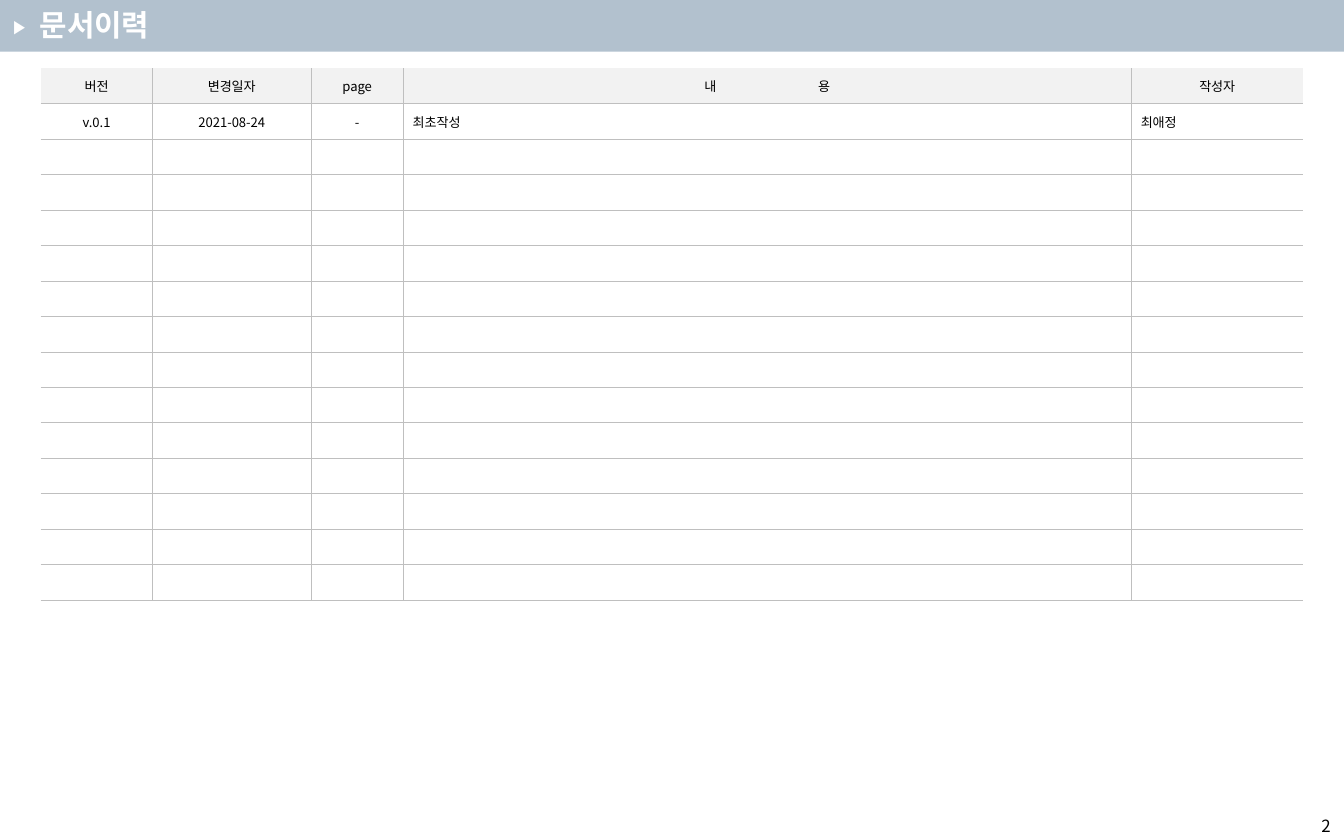
import pptx
import pptx.util
import pptx.dml.color
import pptx.enum.shapes
import pptx.enum.text
import pptx.oxml
import pptx.oxml.ns

Cm, Pt = pptx.util.Cm, pptx.util.Pt
ALIGN = pptx.enum.text.PP_ALIGN
ANCHOR = pptx.enum.text.MSO_ANCHOR

# Content
TITLE = "문서이력"
MARKER = "▶"
PAGE_NUMBER = "2"
HEADERS = ["버전", "변경일자", "page", "내 용", "작성자"]
REVISIONS = [["v.0.1", "2021-08-24", "-", "최초작성", "최애정"]]
ROWS = 15
COL_WIDTHS = [2.11, 3.0, 1.74, 13.76, 3.25]
CENTERED_COLS = 3
ROW_HEIGHT = 0.67
HEADER_GAP = 53  # points of letter spacing after the space in a header

COLORS = {"band": "B2C1CE", "header": "F2F2F2", "grid": "BFBFBF",
          "text": "000000", "white": "FFFFFF"}
FONT = "Noto Sans CJK KR"


def rgb(name):
    return pptx.dml.color.RGBColor.from_string(COLORS[name])


def add_run(p, text, size, color, font=FONT, bold=False):
    r = p.add_run()
    r.text = text
    r.font.size, r.font.bold, r.font.name = Pt(size), bold, font
    r.font.color.rgb = rgb(color)
    ea = pptx.oxml.parse_xml(f'<a:ea {pptx.oxml.ns.nsdecls("a")} typeface="{font}"/>')
    r.font._element.find(pptx.oxml.ns.qn("a:latin")).addnext(ea)
    return r


def set_borders(cell, sides):
    tcPr = cell._tc.get_or_add_tcPr()
    for i, side in enumerate(("L", "R", "T", "B")):
        paint = (f'<a:solidFill><a:srgbClr val="{COLORS["grid"]}"/></a:solidFill>'
                 if side in sides else "<a:noFill/>")
        tcPr.insert(i, pptx.oxml.parse_xml(
            f'<a:ln{side} {pptx.oxml.ns.nsdecls("a")} w="{Pt(0.25)}">{paint}</a:ln{side}>'))


prs = pptx.Presentation()
prs.slide_width, prs.slide_height = Cm(25.4), Cm(15.88)
s = prs.slides.add_slide(prs.slide_layouts[5])

# Title band with its marker
band = s.shapes.add_shape(pptx.enum.shapes.MSO_SHAPE.RECTANGLE, 0, 0, prs.slide_width, Cm(0.98))
band.shadow.inherit = False
band.fill.solid()
band.fill.fore_color.rgb = rgb("band")
band.line.fill.background()
tf = band.text_frame
tf.word_wrap, tf.vertical_anchor = False, ANCHOR.MIDDLE
tf.paragraphs[0].alignment = ALIGN.LEFT
add_run(tf.paragraphs[0], MARKER, 10, "white", "Roboto")

# Title, in front of the band
title = s.shapes.title
title.left, title.top, title.width, title.height = Cm(0.5), Cm(0), Cm(3.07), Cm(0.94)
band._element.addnext(title._element)
tf = title.text_frame
tf.word_wrap, tf.vertical_anchor = False, ANCHOR.TOP
tf.auto_size = pptx.enum.text.MSO_AUTO_SIZE.NONE
tf.paragraphs[0].alignment = ALIGN.LEFT
add_run(tf.paragraphs[0], TITLE, 16, "white", "Arial", True)

# Revision table
cols = len(COL_WIDTHS)
frame = s.shapes.add_table(ROWS, cols, Cm(0.77), Cm(1.29),
                           Cm(sum(COL_WIDTHS)), Cm(ROWS * ROW_HEIGHT))
table = frame.table
table.first_row = table.horz_banding = False
for column, width in zip(table.columns, COL_WIDTHS):
    column.width = Cm(width)
content = [HEADERS] + REVISIONS
content += [[""] * cols for _ in range(ROWS - len(content))]

for i, texts in enumerate(content):
    table.rows[i].height = Cm(ROW_HEIGHT)
    for j, text in enumerate(texts):
        cell = table.cell(i, j)
        cell.vertical_anchor = ANCHOR.MIDDLE
        cell.margin_left = cell.margin_right = Cm(0.18)
        cell.margin_top = cell.margin_bottom = Cm(0.1)
        if i == 0:
            cell.fill.solid()
            cell.fill.fore_color.rgb = rgb("header")
        else:
            cell.fill.background()
        set_borders(cell, "B" + "T" * (i > 0) + "L" * (j > 0) + "R" * (j < cols - 1))

        p = cell.text_frame.paragraphs[0]
        p.alignment = ALIGN.CENTER if i == 0 or j < CENTERED_COLS else ALIGN.LEFT
        if not text:
            p._p.append(pptx.oxml.parse_xml(
                f'<a:endParaRPr {pptx.oxml.ns.nsdecls("a")} sz="700"/>'))
            continue
        first, space, last = text.partition(" ")
        add_run(p, first, 7, "text")
        if space:
            gap = add_run(p, space, 7, "text")
            gap.font._element.set("spc", str(HEADER_GAP * 100))
            add_run(p, last, 7, "text")

# Page number
box = s.shapes.add_textbox(Cm(17.78), Cm(15.29), Cm(7.62), Cm(0.64))
tf = box.text_frame
tf.word_wrap, tf.vertical_anchor = True, ANCHOR.MIDDLE
tf.paragraphs[0].alignment = ALIGN.RIGHT
add_run(tf.paragraphs[0], PAGE_NUMBER, 9, "text")

prs.save("out.pptx")
